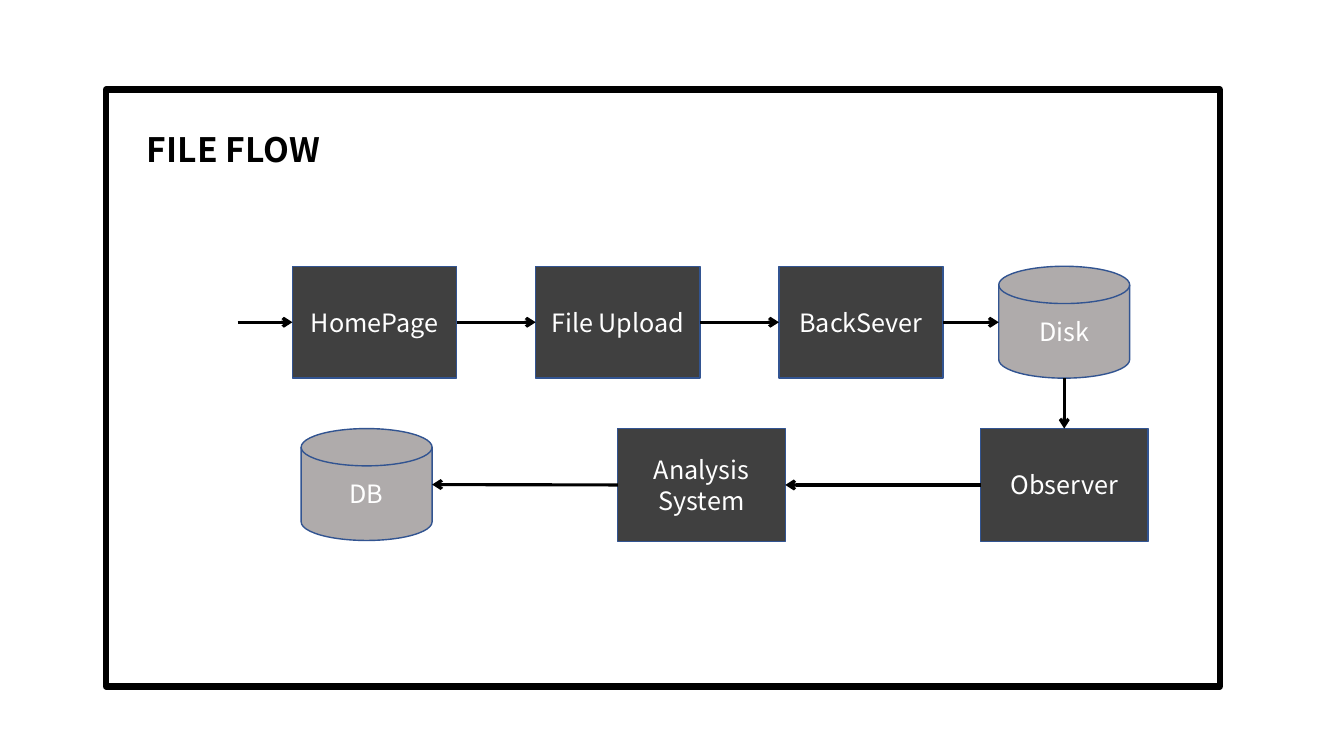
from lxml import etree
from pptx import Presentation
from pptx.dml.color import RGBColor
from pptx.enum.shapes import MSO_CONNECTOR, MSO_SHAPE
from pptx.enum.text import MSO_ANCHOR, MSO_AUTO_SIZE, PP_ALIGN
from pptx.oxml.ns import qn
from pptx.util import Cm, Pt

BOX, DISK = MSO_SHAPE.RECTANGLE, MSO_SHAPE.FLOWCHART_MAGNETIC_DISK
TOP, LEFT, BOTTOM, RIGHT = range(4)
FONT = "Noto Sans CJK KR"
BLACK, WHITE, OUTLINE = "000000", "FFFFFF", "325491"
FILLS = {BOX: "404040", DISK: "AFABAB"}

TITLE = "FILE FLOW"
UPPER_TOP, LOWER_TOP = 6.71, 10.8
FIRST_LEFT, PITCH = 7.37, 6.13
UPPER_SIZE, LOWER_SIZE, DISK_SIZE = (4.14, 2.82), (4.22, 2.84), (3.3, 2.82)
ENTRY_LEFT = 5.99

# text, kind, left, top, size
NODES = [
    (text, BOX, FIRST_LEFT + index * PITCH, UPPER_TOP, UPPER_SIZE)
    for index, text in enumerate(["HomePage", "File Upload", "BackSever"])
] + [
    ("Disk", DISK, 25.17, UPPER_TOP, DISK_SIZE),
    ("Observer", BOX, 24.71, LOWER_TOP, LOWER_SIZE),
    ("Analysis System", BOX, 15.57, LOWER_TOP, LOWER_SIZE),
    ("DB", DISK, 7.59, LOWER_TOP, DISK_SIZE),
]
# sides that the arrow between each node and the next leaves and enters
STEPS = [(RIGHT, LEFT)] * 3 + [(BOTTOM, TOP)] + [(LEFT, RIGHT)] * 2


def color(value):
    return RGBColor.from_string(value)


def write(shape, text, size=18, fill=WHITE, bold=False, align=PP_ALIGN.CENTER):
    frame = shape.text_frame
    frame.word_wrap = True
    frame.auto_size = MSO_AUTO_SIZE.NONE
    frame.vertical_anchor = MSO_ANCHOR.MIDDLE
    paragraph = frame.paragraphs[0]
    paragraph.alignment = align
    run = paragraph.add_run()
    run.text = text
    run.font.name = FONT
    run.font.size = Pt(size)
    run.font.bold = bold
    run.font.color.rgb = color(fill)


def add_shape(slide, kind, left, top, size, line, width, fill=None):
    shape = slide.shapes.add_shape(kind, Cm(left), Cm(top), *map(Cm, size))
    shape.shadow.inherit = False
    shape.line.color.rgb = color(line)
    shape.line.width = Pt(width)
    if fill:
        shape.fill.solid()
        shape.fill.fore_color.rgb = color(fill)
    else:
        shape.fill.background()
    return shape


def side_point(shape, side):
    """Return the middle of one side of a shape."""
    across = {LEFT: 0, RIGHT: shape.width}.get(side, shape.width // 2)
    down = {TOP: 0, BOTTOM: shape.height}.get(side, shape.height // 2)
    return shape.left + across, shape.top + down


def add_arrow(slide, start, end):
    arrow = slide.shapes.add_connector(MSO_CONNECTOR.STRAIGHT, *start, *end)
    arrow.line.color.rgb = color(BLACK)
    arrow.line.width = Pt(2.25)
    etree.SubElement(arrow.line._get_or_add_ln(), qn("a:tailEnd"), type="arrow")
    etree.SubElement(arrow._element.spPr, qn("a:effectLst"))
    return arrow


def link(slide, source, leave, target, enter):
    """Draw an arrow between two nodes, joined wherever it meets a box."""
    arrow = add_arrow(slide, side_point(source, leave), side_point(target, enter))
    if source.auto_shape_type == BOX:
        arrow.begin_connect(source, leave)
    if target.auto_shape_type == BOX:
        arrow.end_connect(target, enter)


def main():
    presentation = Presentation()
    presentation.slide_width, presentation.slide_height = Cm(33.87), Cm(19.05)
    slide = presentation.slides.add_slide(presentation.slide_layouts[5])

    title = slide.shapes.title
    title.left, title.top = Cm(3.45), Cm(3.12)
    title.width, title.height = Cm(5.51), Cm(1.27)
    write(title, TITLE, size=24, fill=BLACK, bold=True, align=PP_ALIGN.LEFT)

    add_shape(slide, BOX, 2.67, 2.26, (28.07, 15.04), BLACK, 4.5)

    nodes = []
    for text, kind, left, top, size in NODES:
        node = add_shape(slide, kind, left, top, size, OUTLINE, 1, FILLS[kind])
        write(node, text)
        nodes.append(node)

    entry_end = side_point(nodes[0], LEFT)
    entry = add_arrow(slide, (Cm(ENTRY_LEFT), entry_end[1]), entry_end)
    entry.end_connect(nodes[0], LEFT)
    for source, target, (leave, enter) in zip(nodes, nodes[1:], STEPS):
        link(slide, source, leave, target, enter)

    presentation.save("out.pptx")


if __name__ == "__main__":
    main()
